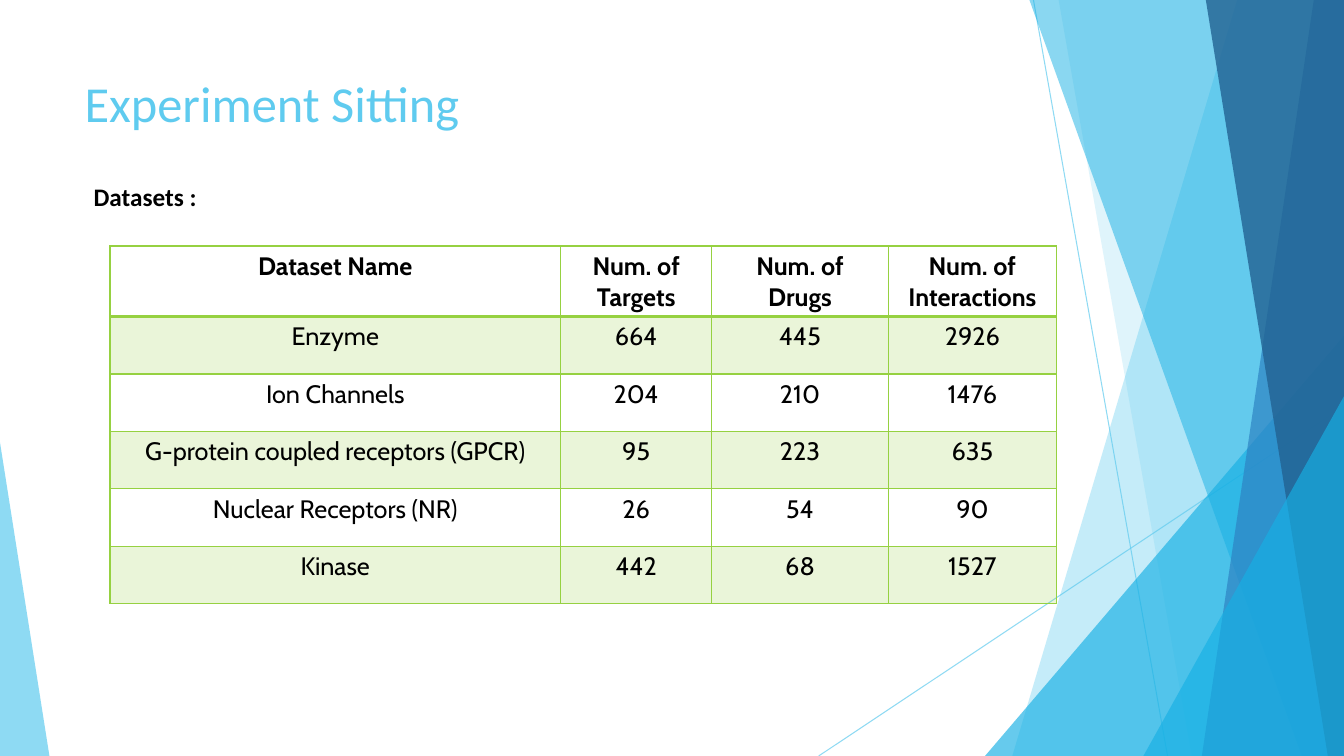
from dataclasses import dataclass

from lxml import etree
from pptx import Presentation
from pptx import util as u
from pptx.dml.color import RGBColor
from pptx.enum import shapes, text
from pptx.oxml import ns

COLORS = {
    "sky": "5FCBEF",
    "cyan": "17B0E4",
    "blue": "2E83C3",
    "navy": "226292",
    "green": "96D141",
    "black": "000000",
}
WIDTH, HEIGHT = 13.33, 7.5


@dataclass
class Ray:
    start: tuple[float, float]
    end: tuple[float, float]


@dataclass
class Panel:
    top_x: float
    bottom_x: float
    color: str
    opacity: int


@dataclass
class Wedge:
    left: float
    top: float
    width: float
    apex: int
    color: str
    opacity: int


@dataclass
class Label:
    left: float
    top: float
    width: float
    height: float
    wording: str
    size: int
    color: str
    bold: bool = False
    space_before: int = 0


RAYS = [Ray((10.25, 0), (11.58, HEIGHT)), Ray((WIDTH, 4.03), (8.12, HEIGHT))]
DECORATIONS = [
    Panel(12.27, 10.04, "sky", 36),
    Panel(10.5, 11.82, "sky", 20),
    Wedge(9.77, 3.33, 3.56, 1, "cyan", 66),
    Panel(10.21, 12.91, "cyan", 50),
    Panel(13.03, 11.92, "blue", 70),
    Panel(11.96, 13.17, "navy", 80),
    Wedge(11.34, 3.93, 1.99, 1, "cyan", 66),
    Wedge(0, 4.39, 0.49, 0, "sky", 70),
]
LABELS = [
    Label(0.74, 0.67, 9.4, 1.44, "Experiment Sitting", 36, "sky"),
    Label(0.83, 1.75, 7.17, 0.5, "Datasets :", 18, "black", True, 10),
]
COLUMN_WIDTHS = [4.47, 1.5, 1.75, 1.67]
ROW_HEIGHT = 0.57
ROWS = [
    ["Dataset Name", "Num. of\nTargets", "Num. of\nDrugs", "Num. of\nInteractions"],
    ["Enzyme", "664", "445", "2926"],
    ["Ion Channels", "204", "210", "1476"],
    ["G-protein coupled receptors (GPCR)", "95", "223", "635"],
    ["Nuclear Receptors (NR)", "26", "54", "90"],
    ["Kinase", "442", "68", "1527"],
]


def rgb(name: str) -> RGBColor:
    return RGBColor.from_string(COLORS[name])


def set_opacity(parent, percent: int) -> None:
    color = next(parent.iter(ns.qn("a:srgbClr")))
    etree.SubElement(color, ns.qn("a:alpha"), val=str(percent * 1000))


def add_span(para, wording: str, font: str, size: int, color: str, bold: bool) -> None:
    span = para.add_run()
    span.text = wording
    span.font.name = font
    span.font.size = u.Pt(size)
    span.font.bold = bold
    span.font.color.rgb = rgb(color)


def draw_ray(page, ray: Ray) -> None:
    points = [u.Inches(value) for value in (*ray.start, *ray.end)]
    line = page.shapes.add_connector(shapes.MSO_CONNECTOR.STRAIGHT, *points)
    line.line.color.rgb = rgb("sky")
    line.line.width = u.Pt(0.75)
    properties = line._element.spPr
    set_opacity(properties, 70)
    etree.SubElement(properties, ns.qn("a:effectLst"))


def draw_decoration(page, item: Panel | Wedge) -> None:
    if isinstance(item, Panel):
        corners = [(item.top_x, 0), (WIDTH, 0), (WIDTH, HEIGHT), (item.bottom_x, HEIGHT)]
        points = [(u.Inches(x), u.Inches(y)) for x, y in corners]
        builder = page.shapes.build_freeform(*points[0])
        builder.add_line_segments(points[1:], close=True)
        shape = builder.convert_to_shape()
    else:
        shape = page.shapes.add_shape(
            shapes.MSO_SHAPE.ISOSCELES_TRIANGLE,
            u.Inches(item.left), u.Inches(item.top),
            u.Inches(item.width), u.Inches(HEIGHT - item.top),
        )
        shape.adjustments[0] = item.apex
    shape.shadow.inherit = False
    shape.fill.solid()
    shape.fill.fore_color.rgb = rgb(item.color)
    set_opacity(shape._element.spPr, item.opacity)
    shape.line.fill.background()


def draw_label(page, label: Label) -> None:
    box = page.shapes.add_textbox(
        u.Inches(label.left), u.Inches(label.top),
        u.Inches(label.width), u.Inches(label.height),
    )
    box.text_frame.word_wrap = True
    para = box.text_frame.paragraphs[0]
    para.space_before = u.Pt(label.space_before)
    add_span(para, label.wording, "Calibri", label.size, label.color, label.bold)


def set_borders(cell, row: int) -> None:
    properties = cell._tc.get_or_add_tcPr()
    for index, side in enumerate(("L", "R", "T", "B")):
        under_header = (row, side) in ((0, "B"), (1, "T"))
        width = u.Pt(2 if under_header else 1)
        border = etree.Element(ns.qn(f"a:ln{side}"), w=str(width))
        fill = etree.SubElement(border, ns.qn("a:solidFill"))
        etree.SubElement(fill, ns.qn("a:srgbClr"), val=COLORS["green"])
        properties.insert(index, border)


def draw_cell(cell, wording: str, row: int) -> None:
    if row % 2:
        cell.fill.solid()
        cell.fill.fore_color.rgb = rgb("green")
        set_opacity(cell._tc.tcPr, 20)
    else:
        cell.fill.background()
    set_borders(cell, row)
    para = cell.text_frame.paragraphs[0]
    para.alignment = text.PP_ALIGN.CENTER
    for index, part in enumerate(wording.split("\n")):
        if index:
            para.add_line_break()
        add_span(para, part, "Cabin", 18, "black", row == 0)


def draw_table(page) -> None:
    table = page.shapes.add_table(
        len(ROWS), len(COLUMN_WIDTHS), u.Inches(1.09), u.Inches(2.44),
        u.Inches(sum(COLUMN_WIDTHS)), u.Inches(ROW_HEIGHT * len(ROWS)),
    ).table
    table.first_row = False
    table.horz_banding = False
    for column, width in zip(table.columns, COLUMN_WIDTHS):
        column.width = u.Inches(width)
    for row, entries in enumerate(ROWS):
        table.rows[row].height = u.Inches(ROW_HEIGHT)
        for column, wording in enumerate(entries):
            draw_cell(table.cell(row, column), wording, row)


def main() -> None:
    deck = Presentation()
    deck.slide_width = u.Inches(WIDTH)
    deck.slide_height = u.Inches(HEIGHT)
    page = deck.slides.add_slide(deck.slide_layouts[6])
    for ray in RAYS:
        draw_ray(page, ray)
    for item in DECORATIONS:
        draw_decoration(page, item)
    for label in LABELS:
        draw_label(page, label)
    draw_table(page)
    deck.save("out.pptx")


if __name__ == "__main__":
    main()
